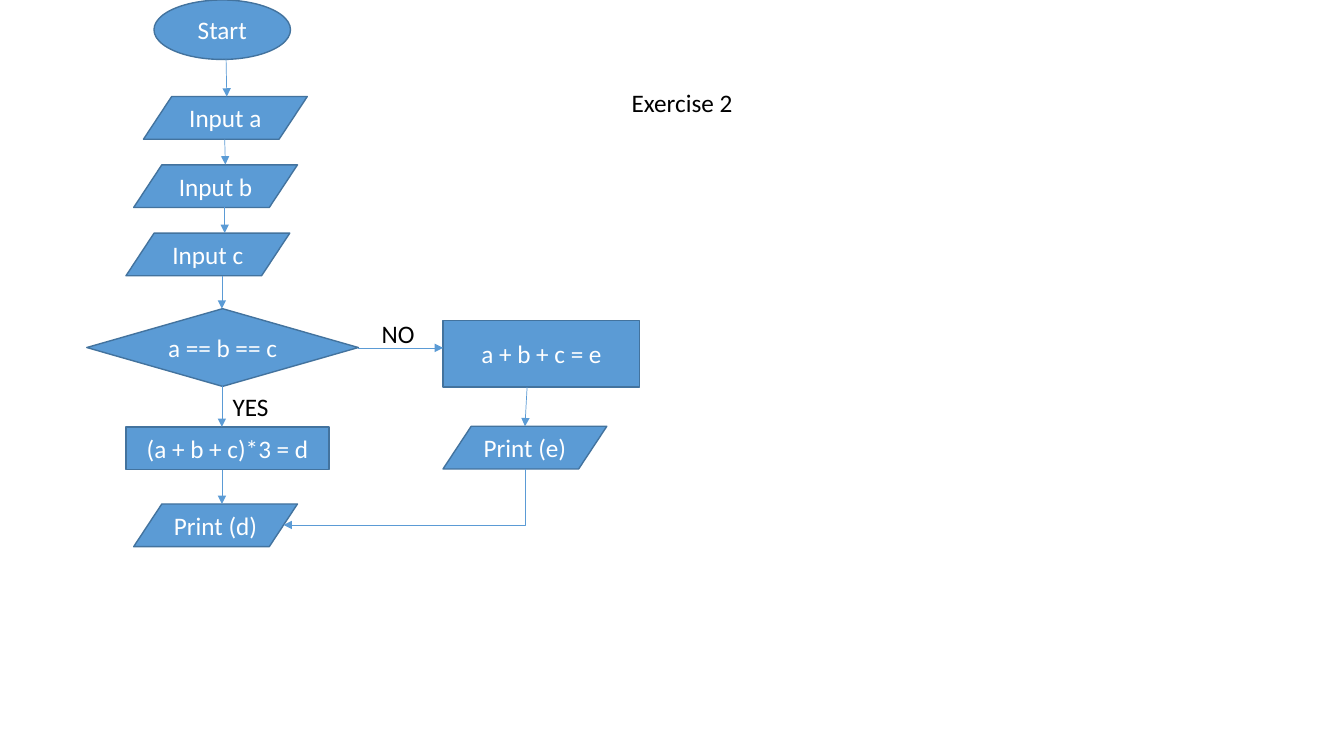
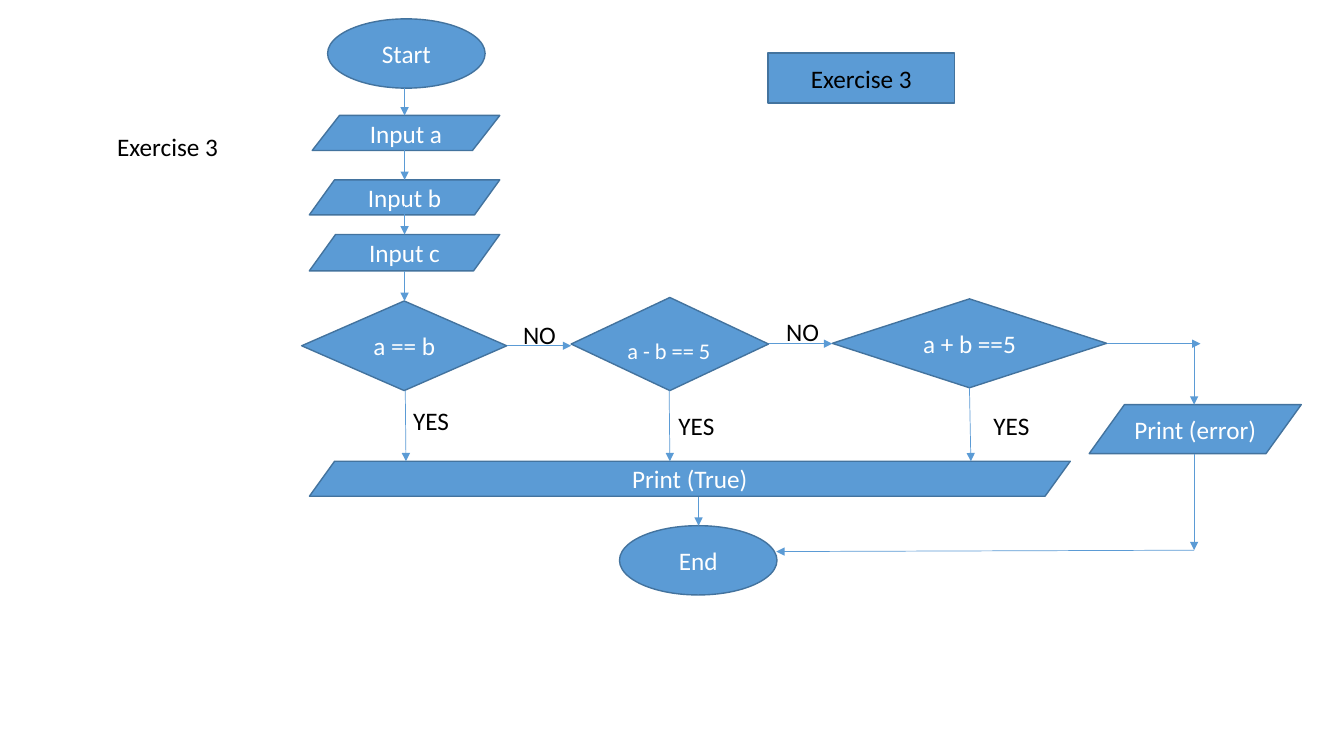
from lxml import etree
from pptx import Presentation
from pptx.dml.color import RGBColor
from pptx.enum.shapes import MSO_CONNECTOR, MSO_SHAPE
from pptx.enum.text import MSO_ANCHOR, MSO_AUTO_SIZE, PP_ALIGN
from pptx.oxml.ns import qn
from pptx.util import Pt

OVAL = MSO_SHAPE.OVAL
DATA = MSO_SHAPE.PARALLELOGRAM
DECISION = MSO_SHAPE.DIAMOND
PROCESS = MSO_SHAPE.RECTANGLE
STRAIGHT = MSO_CONNECTOR.STRAIGHT
ELBOW = MSO_CONNECTOR.ELBOW
LEFT = PP_ALIGN.LEFT
CENTER = PP_ALIGN.CENTER
TOP = MSO_ANCHOR.TOP
MIDDLE = MSO_ANCHOR.MIDDLE
NO_FIT = MSO_AUTO_SIZE.NONE

COLORS = {"fill": "5B9BD5", "outline": "43739E", "arrow": "5B9BD5",
          "node_text": "FFFFFF", "label": "000000"}
FONT = "Calibri"
TEXT_SIZE = 18
LABEL_HEIGHT = 29


class Flowchart:
    def __init__(self, deck):
        self.deck = deck
        self.slide = None

    def color(self, name):
        return RGBColor.from_string(COLORS[name])

    def set_text(self, frame, text, color, size=TEXT_SIZE, align=LEFT, anchor=TOP):
        frame.auto_size = NO_FIT
        frame.vertical_anchor = anchor
        paragraph = frame.paragraphs[0]
        paragraph.alignment = align
        run = paragraph.add_run()
        run.text = text
        run.font.name = FONT
        run.font.size = Pt(size)
        run.font.color.rgb = self.color(color)

    def start_slide(self, title, left, top):
        self.slide = self.deck.slides.add_slide(self.deck.slide_layouts[5])
        heading = self.slide.shapes.title
        heading.left, heading.top = Pt(left), Pt(top)
        heading.width, heading.height = Pt(87), Pt(LABEL_HEIGHT)
        heading.text_frame.word_wrap = False
        self.set_text(heading.text_frame, title, "label")

    def node(self, kind, left, top, width, height, text=None, slant=None,
             color="node_text"):
        node = self.slide.shapes.add_shape(kind, Pt(left), Pt(top), Pt(width), Pt(height))
        node.shadow.inherit = False
        node.fill.solid()
        node.fill.fore_color.rgb = self.color("fill")
        node.line.color.rgb = self.color("outline")
        node.line.width = Pt(1)
        if slant is not None:
            node.adjustments[0] = slant
        if text:
            self.set_text(node.text_frame, text, color, align=CENTER, anchor=MIDDLE)

    def label(self, text, left, top, width=60, color="label", size=TEXT_SIZE):
        box = self.slide.shapes.add_textbox(Pt(left), Pt(top), Pt(width), Pt(LABEL_HEIGHT))
        box.text_frame.word_wrap = True
        self.set_text(box.text_frame, text, color, size)

    def arrow(self, x1, y1, x2, y2, kind=STRAIGHT):
        link = self.slide.shapes.add_connector(kind, Pt(x1), Pt(y1), Pt(x2), Pt(y2))
        link.line.color.rgb = self.color("arrow")
        link.line.width = Pt(0.5)
        properties = link._element.spPr
        etree.SubElement(properties.find(qn("a:ln")), qn("a:tailEnd"), type="triangle")
        etree.SubElement(properties, qn("a:effectLst"))
        return link

    def arrow_down_then_left(self, x1, y1, x2, y2):
        center_x, center_y = (x1 + x2) / 2, (y1 + y2) / 2
        half_drop, half_run = (y2 - y1) / 2, (x1 - x2) / 2
        link = self.arrow(center_x - half_drop, center_y - half_run,
                          center_x + half_drop, center_y + half_run, ELBOW)
        properties = link._element.spPr
        properties.find(qn("a:xfrm")).set("rot", "5400000")
        properties.find(qn("a:prstGeom")).set("prst", "bentConnector2")


def build_exercise_2(chart):
    chart.start_slide("Exercise 2", 444, 59)
    chart.node(OVAL, 110, 0, 97.5, 42.5, "Start")
    data_nodes = [("Input a", 102.5, 69), ("Input b", 95.5, 117.75),
                  ("Input c", 90, 166.5), ("Print (d)", 95.5, 360),
                  ("Print (e)", 316.5, 304.5)]
    for text, left, top in data_nodes:
        chart.node(DATA, left, top, 117, 30.5, text, 0.66)
    chart.node(DECISION, 62, 220.5, 194, 55.5, "a == b == c")
    chart.node(PROCESS, 316.5, 229, 140.5, 47.5, "a + b + c = e")
    chart.node(PROCESS, 90, 305, 145, 30.5, "(a + b + c)*3 = d")
    for ends in [(161.5, 42.5, 162, 69), (160.5, 99.5, 161, 117.5),
                 (160.5, 148, 160.5, 166.5), (158.5, 197, 158.5, 220.5),
                 (158.5, 276, 158.5, 305), (158.5, 335.5, 158.5, 360),
                 (256, 248.5, 316.5, 248.5), (376.5, 276.5, 375, 304.5)]:
        chart.arrow(*ends)
    chart.arrow_down_then_left(375, 335, 202.5, 375)
    chart.label("NO", 265.5, 224)
    chart.label("YES", 159, 276)


def build_exercise_3(chart):
    chart.start_slide("Exercise 3", 76.5, 90.5)
    chart.node(PROCESS, 548.5, 38, 133.5, 35.5, "Exercise 3", color="label")
    for text, left, top in [("Start", 234, 13.5), ("End", 442.5, 375.5)]:
        chart.node(OVAL, left, top, 112.5, 49.5, text)
    chart.node(DATA, 223, 82.5, 134, 25, "Input a", 0.78)
    for text, left, top, width, height in [("Input b", 221, 128.5, 136, 25),
                                           ("Input c", 221, 167.5, 136, 26),
                                           ("Print (True)", 221, 329.5, 543.5, 25),
                                           ("Print (error)", 778, 289, 151.5, 35)]:
        chart.node(DATA, left, top, width, height, text, 0.72)
    chart.node(DECISION, 215.5, 215, 146.5, 64, "a == b")
    chart.node(DECISION, 408, 212.5, 141, 66.5)
    chart.label("a - b == 5", 441, 237, 100, "node_text", 16)
    chart.node(DECISION, 594.5, 213.5, 196, 63.5, "a + b ==5")
    input_x, error_x = 289, 853
    for top, bottom in [(63, 82.5), (107.5, 128.5), (147, 167.5), (193.5, 215)]:
        chart.arrow(input_x, top, input_x, bottom)
    for top, bottom in [(245.5, 289), (324, 393)]:
        chart.arrow(error_x, top, error_x, bottom)
    for ends in [(289.5, 279, 290, 329.5), (478, 279, 478.5, 329.5),
                 (692.5, 277, 693.5, 329.5), (499, 355, 499, 375.5),
                 (362, 247, 408, 247), (549, 245.5, 594.5, 245.5),
                 (790.5, 245.5, 857.5, 245.5), (error_x, 393, 554.5, 394)]:
        chart.arrow(*ends)
    for text, left, top in [("NO", 366.5, 224.5), ("NO", 554.5, 222.5),
                            ("YES", 288, 286), ("YES", 477.5, 289.5),
                            ("YES", 702.5, 289.5)]:
        chart.label(text, left, top)


deck = Presentation()
deck.slide_width, deck.slide_height = Pt(960), Pt(540)
flowchart = Flowchart(deck)
build_exercise_2(flowchart)
build_exercise_3(flowchart)
deck.save("out.pptx")
